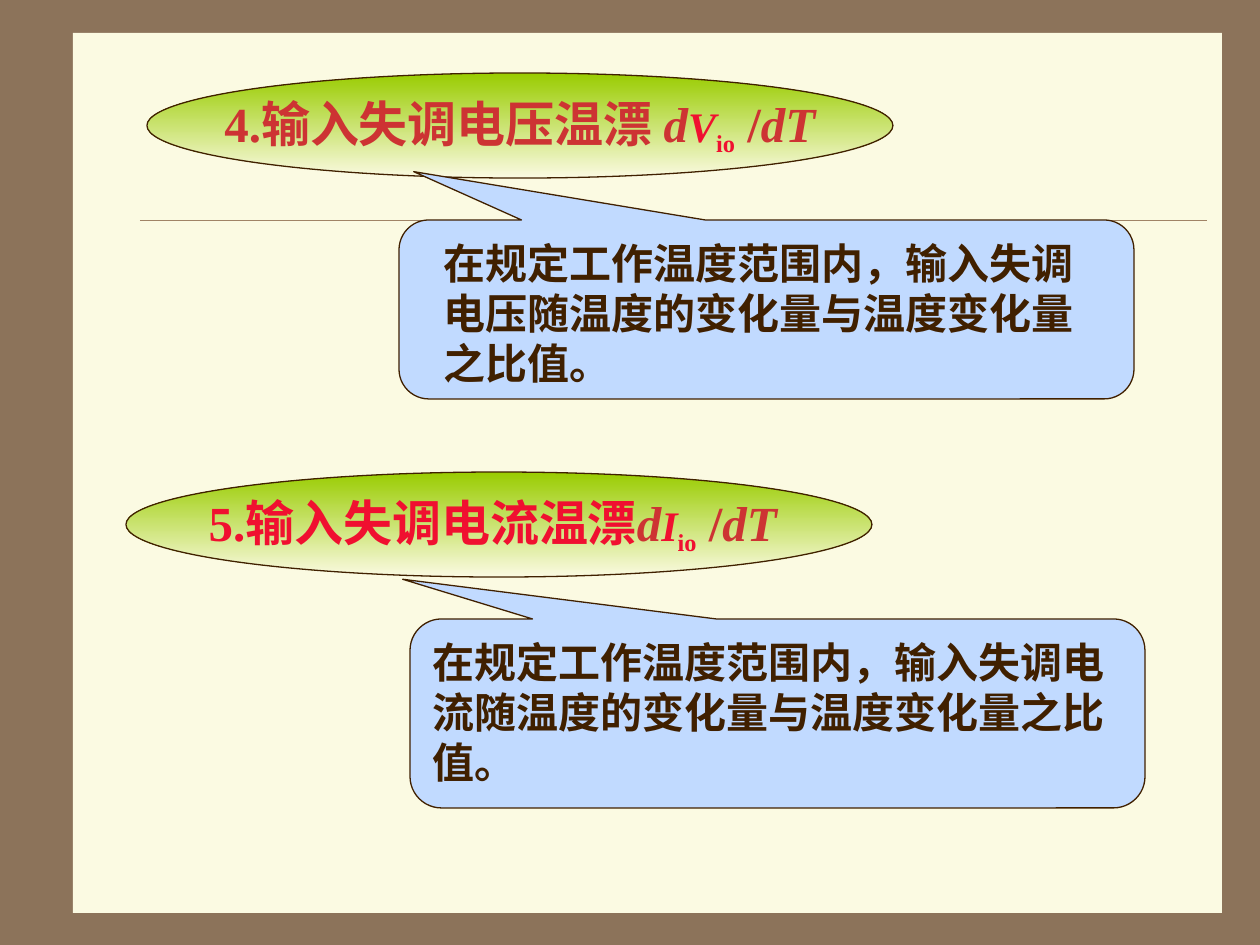
from pptx import Presentation
from pptx.dml.color import RGBColor
from pptx.enum.shapes import MSO_CONNECTOR, MSO_SHAPE
from pptx.enum.text import MSO_ANCHOR, PP_ALIGN
from pptx.oxml.ns import qn
from pptx.util import Pt
from lxml import etree

PX = 914400 / 126
FONT = "Times New Roman"
COLORS = {
    "frame": "8C735A", "panel": "FBFAE2", "rule": "A08366", "green": "99CC00",
    "ink": "402000", "callout": "C1DAFF", "brick": "CD3333", "red": "F01030",
}


def px(*lengths):
    return [round(length * PX) for length in lengths]


def style(span, size, color, italic=False):
    span.font.name = FONT
    span.font.size = Pt(size)
    span.font.bold = True
    span.font.italic = italic
    span.font.color.rgb = RGBColor.from_string(COLORS[color])


deck = Presentation()
deck.slide_width, deck.slide_height = px(1260, 945)
page = deck.slides.add_slide(deck.slide_layouts[6])

# Brown frame, cream panel and thin rule
page.background.fill.solid()
page.background.fill.fore_color.rgb = RGBColor.from_string(COLORS["frame"])
panel = page.shapes.add_shape(MSO_SHAPE.RECTANGLE, *px(73, 33, 1149, 880))
panel.shadow.inherit = False
panel.fill.solid()
panel.fill.fore_color.rgb = RGBColor.from_string(COLORS["panel"])
panel.line.fill.background()
rule = page.shapes.add_connector(MSO_CONNECTOR.STRAIGHT, *px(140, 220, 1207, 220))
rule.line.color.rgb = RGBColor.from_string(COLORS["rule"])
rule.line.width = Pt(0.25)
etree.SubElement(rule._element.spPr, qn("a:effectLst"))

# Each topic: a heading in an ellipse and its definition in a callout
topics = [
    {"ellipse": (147, 73), "title": "4.输入失调电压温漂 ", "color": "brick",
     "symbol": "V", "end": "dT",
     "callout": (399, 220, 735, 179), "pointer": (-0.48, -0.77),
     "body": (431, 231, 656, 164),
     "text": "在规定工作温度范围内，输入失调电压随温度的变化量与温度变化量之比值。"},
    {"ellipse": (126, 472), "title": "5.输入失调电流温漂", "color": "red",
     "symbol": "I", "end": "dT ",
     "callout": (410, 619, 735, 189), "pointer": (-0.51, -0.71),
     "body": (420, 630, 724, 239),
     "text": "在规定工作温度范围内，输入失调电流随温度的变化量与温度变化量之比值。"},
]

for topic in topics:
    # Heading ellipse
    ellipse = page.shapes.add_shape(MSO_SHAPE.OVAL, *px(*topic["ellipse"], 746, 105))
    ellipse.fill.gradient()
    ellipse.fill.gradient_angle = 270
    for stop, color in zip(ellipse.fill.gradient_stops, ("green", "panel")):
        stop.color.rgb = RGBColor.from_string(COLORS[color])
    frame = ellipse.text_frame
    frame.word_wrap = False
    frame.vertical_anchor = MSO_ANCHOR.MIDDLE
    para = frame.paragraphs[0]
    para.alignment = PP_ALIGN.CENTER
    for text, size, color, italic in (
        (topic["title"], 28, topic["color"], False),
        ("d", 28, "brick", True),
        (topic["symbol"], 24, "red", True),
        ("io", 24, "red", False),
        (" /", 28, "brick", False),
        (topic["end"], 28, "brick", True),
    ):
        span = para.add_run()
        span.text = text
        style(span, size, color, italic)
        if text == "io":
            span.font._element.set("baseline", "-25000")

    # Definition callout
    callout = page.shapes.add_shape(
        MSO_SHAPE.ROUNDED_RECTANGULAR_CALLOUT, *px(*topic["callout"]))
    callout.adjustments[0], callout.adjustments[1] = topic["pointer"]
    callout.fill.solid()
    callout.fill.fore_color.rgb = RGBColor.from_string(COLORS["callout"])
    for shape in (ellipse, callout):
        shape.shadow.inherit = False
        shape.line.color.rgb = RGBColor.from_string(COLORS["ink"])
        shape.line.width = Pt(0.75)

    # Definition text
    box = page.shapes.add_textbox(*px(*topic["body"]))
    box.text_frame.word_wrap = True
    box.text_frame.text = topic["text"]
    style(box.text_frame.paragraphs[0].runs[0], 24, "ink")

deck.save("out.pptx")
